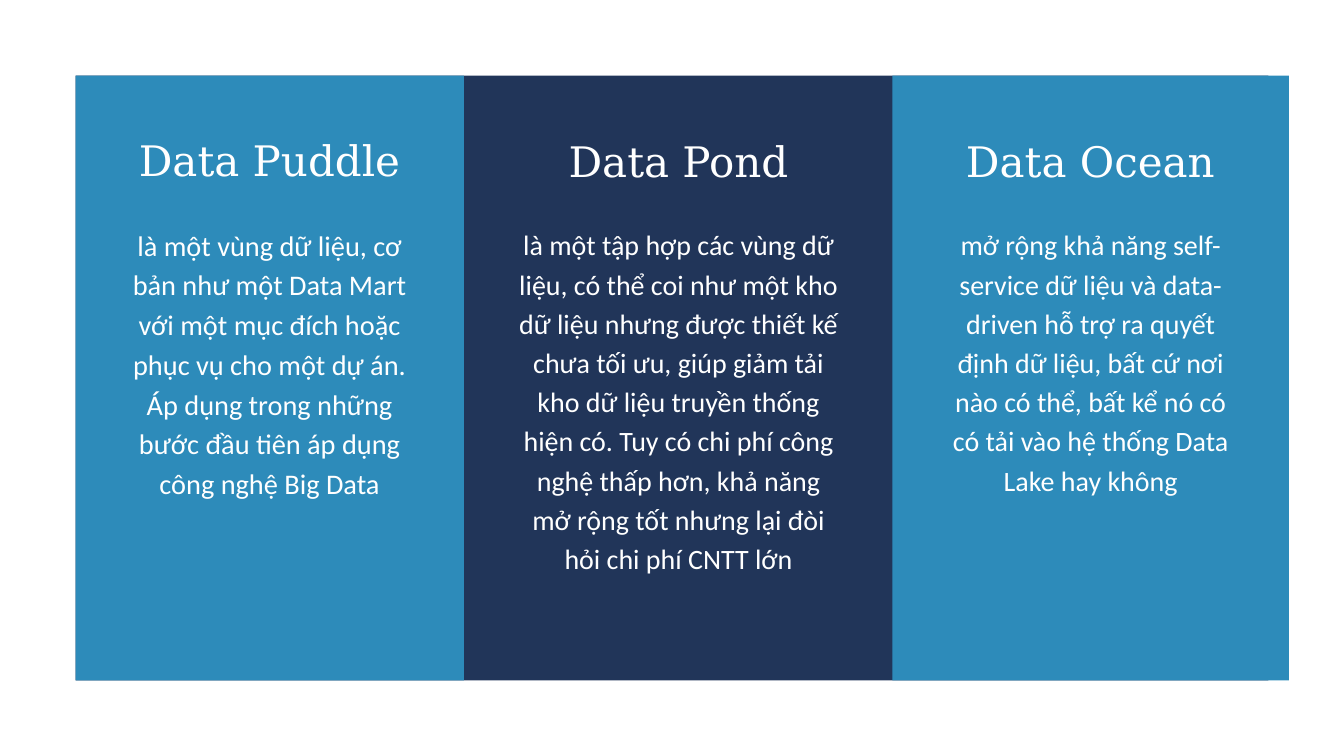
from pptx import Presentation
from pptx.dml.color import RGBColor
from pptx.enum.shapes import MSO_SHAPE
from pptx.enum.text import PP_ALIGN
from pptx.util import Pt

COLORS = {
    "backdrop": "F4F4F4",
    "white": "FFFFFF",
    "navy": "213559",
    "blue": "2D8BBA",
}
SLIDE_WIDTH, SLIDE_HEIGHT = 1440, 810
PANEL_TOP, PANEL_HEIGHT = 81, 648

# Left, width and colour; the navy panel lies behind the two blue ones
PANELS = [
    (81, 1278, "navy"),
    (81, 416, "blue"),
    (956, 425, "blue"),
]

# Heading and body: text, (left, top, width, height), size, line spacing
COLUMNS = [
    (
        ("Data Puddle", (134, 135.5, 309.6, 61), 45, 63),
        ("là một vùng dữ liệu, cơ bản như một Data Mart với một mục đích hoặc "
         "phục vụ cho một dự án. Áp dụng trong những bước đầu tiên áp dụng "
         "công nghệ Big Data", (134, 237.8, 309.6, 292.5), 30.4, 42.6),
    ),
    (
        ("Data Pond", (595.5, 136, 262.8, 60.5), 45, 63),
        ("là một tập hợp các vùng dữ liệu, có thể coi như một kho dữ liệu "
         "nhưng được thiết kế chưa tối ưu, giúp giảm tải kho dữ liệu truyền "
         "thống hiện có. Tuy có chi phí công nghệ thấp hơn, khả năng mở rộng "
         "tốt nhưng lại đòi hỏi chi phí CNTT lớn",
         (554.5, 238.2, 345, 410.4), 30, 42),
    ),
    (
        ("Data Ocean", (1022.5, 136, 291.6, 60.5), 45, 63),
        ("mở rộng khả năng self-service dữ liệu và data-driven hỗ trợ ra "
         "quyết định dữ liệu, bất cứ nơi nào có thể, bất kể nó có có tải vào "
         "hệ thống Data Lake hay không", (1016, 238.2, 305.3, 286.5), 30, 42),
    ),
]


def color(name):
    return RGBColor.from_string(COLORS[name])


def add_panel(slide, left, top, width, height, fill):
    shape = slide.shapes.add_shape(
        MSO_SHAPE.RECTANGLE, Pt(left), Pt(top), Pt(width), Pt(height))
    shape.shadow.inherit = False
    shape.fill.solid()
    shape.fill.fore_color.rgb = color(fill)
    shape.line.fill.background()


def add_text(slide, text, box, size, spacing, font_name):
    frame = slide.shapes.add_textbox(*map(Pt, box)).text_frame
    frame.word_wrap = True
    frame.margin_left = frame.margin_right = Pt(0)
    frame.margin_top = frame.margin_bottom = Pt(0)
    paragraph = frame.paragraphs[0]
    paragraph.alignment = PP_ALIGN.CENTER
    paragraph.line_spacing = Pt(spacing)
    run = paragraph.add_run()
    run.text = text
    run.font.name = font_name
    run.font.size = Pt(size)
    run.font.color.rgb = color("white")


def main():
    presentation = Presentation()
    presentation.slide_width = Pt(SLIDE_WIDTH)
    presentation.slide_height = Pt(SLIDE_HEIGHT)
    slide = presentation.slides.add_slide(presentation.slide_layouts[6])

    # Background and white page
    slide.background.fill.solid()
    slide.background.fill.fore_color.rgb = color("backdrop")
    add_panel(slide, 0, 0, SLIDE_WIDTH, SLIDE_HEIGHT, "white")

    # Coloured panels
    for left, width, fill in PANELS:
        add_panel(slide, left, PANEL_TOP, width, PANEL_HEIGHT, fill)

    # Heading and description of each column
    for heading, body in COLUMNS:
        add_text(slide, *heading, "DejaVu Serif")
        add_text(slide, *body, "Calibri")

    presentation.save("out.pptx")


if __name__ == "__main__":
    main()
